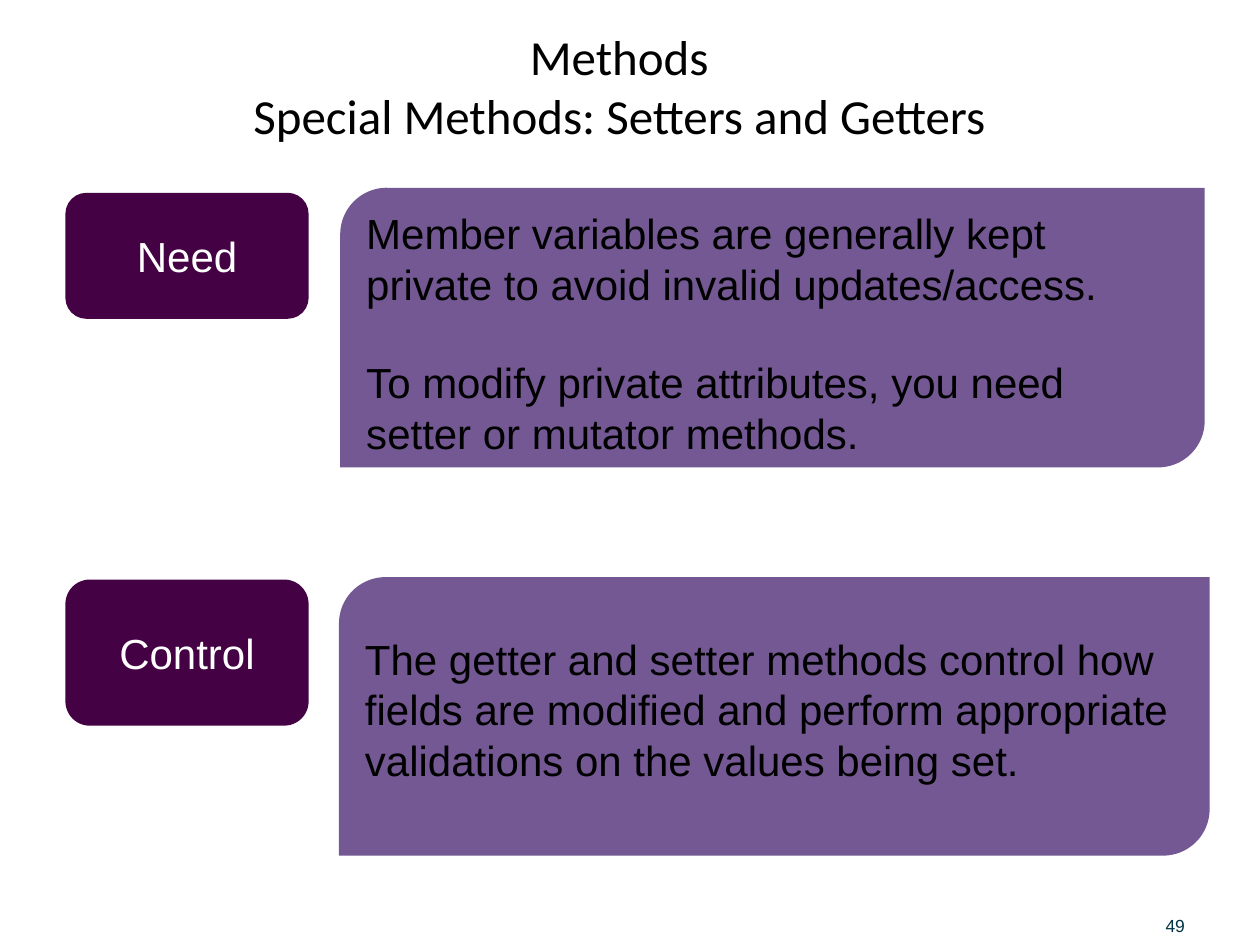
from dataclasses import dataclass
from pptx import Presentation
from pptx.dml.color import RGBColor
from pptx.enum.shapes import MSO_SHAPE
from pptx.enum.text import MSO_ANCHOR, PP_ALIGN
from pptx.util import Pt


@dataclass(frozen=True)
class Theme:
    label: str = "440244"
    panel: str = "735893"
    dark: str = "000000"
    light: str = "FFFFFF"
    page: str = "003344"
    head: str = "Calibri"
    body: str = "Arial"
    title_size: int = 28
    text_size: int = 24
    page_size: int = 10


THEME = Theme()
TITLE = ["Methods", "Special Methods: Setters and Getters"]
PAGE = "49"
# label, label box, panel box, top inset, paragraphs
ROWS = [
    ("Need", (37.4, 110.2, 139, 72), (194.4, 107.3, 494, 159.8), 3.6,
     ["Member variables are generally kept private to avoid invalid "
      "updates/access.",
      "To modify private attributes, you need setter or mutator methods."]),
    ("Control", (37.4, 331.2, 139, 83.5), (193.7, 329.8, 497.5, 159.1), 24.3,
     ["The getter and setter methods control how fields are modified and "
      "perform appropriate validations on the values being set."]),
]
PARA_GAP = 27.6


def style(run, size, color, font=THEME.body):
    run.font.name = font
    run.font.size = Pt(size)
    run.font.color.rgb = RGBColor.from_string(color)


def add_box(slide, kind, box, fill):
    shape = slide.shapes.add_shape(kind, *map(Pt, box))
    shape.shadow.inherit = False
    shape.fill.solid()
    shape.fill.fore_color.rgb = RGBColor.from_string(fill)
    shape.line.fill.background()
    return shape.text_frame


def add_text(slide, box, anchor):
    frame = slide.shapes.add_textbox(*map(Pt, box)).text_frame
    frame.word_wrap = True
    frame.vertical_anchor = anchor
    return frame


def add_title(slide):
    frame = add_text(slide, (36, 14.4, 635.8, 68.4), MSO_ANCHOR.MIDDLE)
    para = frame.paragraphs[0]
    para.alignment = PP_ALIGN.CENTER
    for i, line in enumerate(TITLE):
        if i:
            para.add_line_break()
        run = para.add_run()
        run.text = line
        style(run, THEME.title_size, THEME.dark, THEME.head)


def add_label(slide, text, box):
    frame = add_box(slide, MSO_SHAPE.ROUNDED_RECTANGLE, box, THEME.label)
    frame.vertical_anchor = MSO_ANCHOR.MIDDLE
    para = frame.paragraphs[0]
    para.alignment = PP_ALIGN.CENTER
    run = para.add_run()
    run.text = text
    style(run, THEME.text_size, THEME.light)


def add_panel(slide, lines, box, inset):
    frame = add_box(slide, MSO_SHAPE.ROUND_2_DIAG_RECTANGLE, box, THEME.panel)
    frame.word_wrap = True
    frame.vertical_anchor = MSO_ANCHOR.TOP
    frame.margin_top = Pt(inset)
    for i, line in enumerate(lines):
        para = frame.add_paragraph() if i else frame.paragraphs[0]
        para.alignment = PP_ALIGN.LEFT
        if i:
            para.space_before = Pt(PARA_GAP)
        run = para.add_run()
        run.text = line
        style(run, THEME.text_size, THEME.dark)


def add_page(slide):
    frame = add_text(slide, (666, 514.8, 49.7, 20.2), MSO_ANCHOR.BOTTOM)
    frame.margin_left = frame.margin_right = Pt(0)
    frame.margin_top = frame.margin_bottom = Pt(0)
    run = frame.paragraphs[0].add_run()
    run.text = PAGE
    style(run, THEME.page_size, THEME.page)


def main():
    deck = Presentation()
    deck.slide_width, deck.slide_height = Pt(720), Pt(540)
    slide = deck.slides.add_slide(deck.slide_layouts[6])
    add_title(slide)
    for label, label_box, panel_box, inset, lines in ROWS:
        add_label(slide, label, label_box)
        add_panel(slide, lines, panel_box, inset)
    add_page(slide)
    deck.save("out.pptx")


if __name__ == "__main__":
    main()
